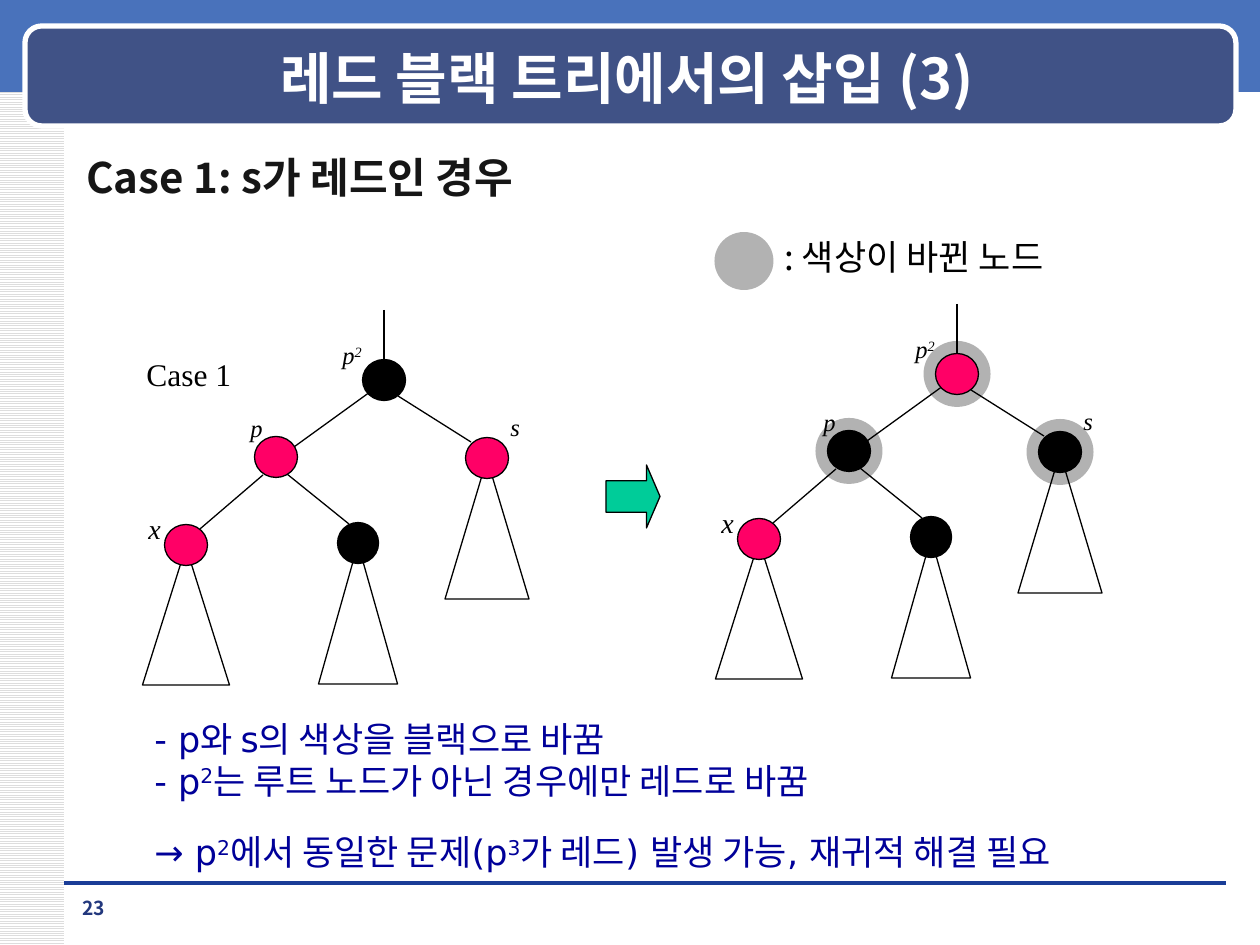
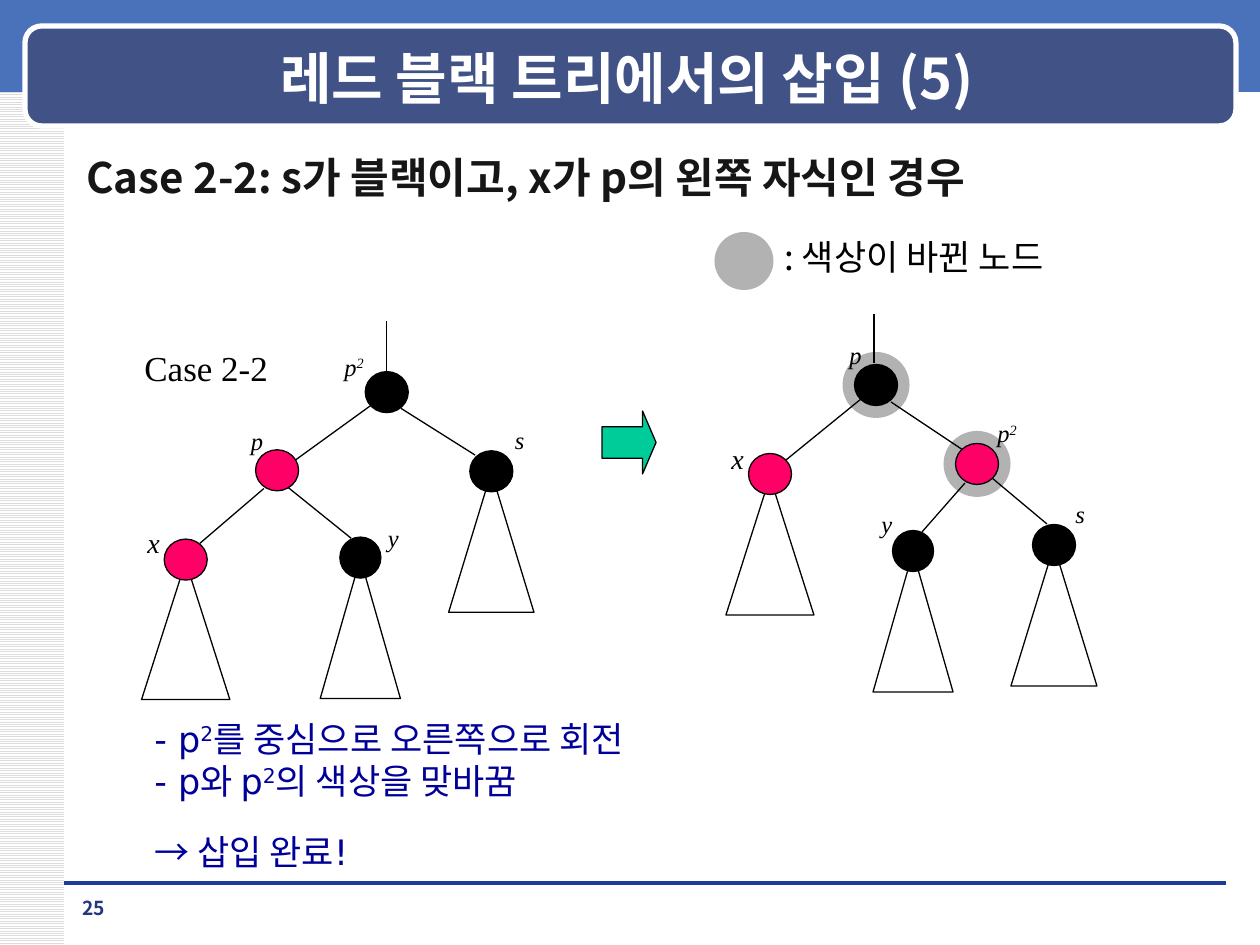
from dataclasses import dataclass

from lxml.etree import SubElement
from pptx import Presentation
from pptx.dml.color import RGBColor
from pptx.enum.dml import MSO_PATTERN
from pptx.enum.shapes import MSO_CONNECTOR, MSO_SHAPE
from pptx.enum.text import MSO_ANCHOR, PP_ALIGN
from pptx.oxml.ns import qn
from pptx.util import Emu, Pt

WHITE = RGBColor(0xFF, 0xFF, 0xFF)
BLACK = RGBColor(0x00, 0x00, 0x00)
RED = RGBColor(0xFF, 0x00, 0x66)
HALO = RGBColor(0xB2, 0xB2, 0xB2)
GREEN = RGBColor(0x00, 0xCC, 0x99)
STRIPE = RGBColor(0xDD, 0xDD, 0xDD)
BAND = RGBColor(0x49, 0x72, 0xBB)
TITLE_BAR = RGBColor(0x40, 0x52, 0x86)
RULE = RGBColor(0x1A, 0x3D, 0x97)
HEADING = RGBColor(0x16, 0x16, 0x16)
NOTE = RGBColor(0x00, 0x00, 0x99)
PAGE = RGBColor(0x23, 0x38, 0x7D)

KOREAN = "Noto Sans CJK KR"
SANS = "DejaVu Sans"
SERIF = "Times New Roman"


@dataclass
class Node:
    x: int
    y: int
    label_x: int
    label_y: int
    subtree: tuple = ()


@dataclass
class Layout:
    width: int
    nodes: dict
    edges: list


INSERTED = Layout(
    388,
    {
        "p^2": Node(242, 70, 188, 24),
        "p": Node(134, 147, 96, 97),
        "s": Node(345, 148, 356, 96, (84, 1, 140)),
        "x": Node(44, 235, -6, 195, (87, 2, 138)),
        "y": Node(216, 233, 231, 193, (79, 1, 140)),
    },
    [
        (242, 0, 242, 49),
        (228, 82, 152, 137),
        (256, 86, 329, 132),
        (121, 165, 58, 219),
        (145, 164, 207, 214),
    ],
)
ROTATED = Layout(
    370,
    {
        "p": Node(149, 71, 110, 20),
        "x": Node(43, 160, -8, 121, (88, 3, 138)),
        "p^2": Node(250, 150, 258, 98),
        "y": Node(186, 237, 142, 189, (80, 1, 140)),
        "s": Node(327, 231, 336, 179, (86, 1, 140)),
    },
    [
        (147, 0, 147, 49),
        (134, 85, 59, 146),
        (164, 88, 236, 136),
        (238, 169, 195, 218),
        (265, 164, 320, 210),
    ],
)


def px(n):
    return Emu(round(n * 914400 / 126))


def shape(s, kind, x, y, w, h, fill=None, line=None, weight=0.75):
    sp = s.shapes.add_shape(kind, px(x), px(y), px(w), px(h))
    sp.shadow.inherit = False
    if fill is None:
        sp.fill.background()
    else:
        sp.fill.solid()
        sp.fill.fore_color.rgb = fill
    if line is None:
        sp.line.fill.background()
    else:
        sp.line.color.rgb = line
        sp.line.width = Pt(weight)
    return sp


def oval(s, cx, cy, w, h, fill, line=None):
    return shape(s, MSO_SHAPE.OVAL, cx - w / 2, cy - h / 2, w, h, fill, line)


def line(s, x1, y1, x2, y2, color=BLACK, weight=0.75):
    c = s.shapes.add_connector(MSO_CONNECTOR.STRAIGHT, px(x1), px(y1), px(x2), px(y2))
    c.line.color.rgb = color
    c.line.width = Pt(weight)
    SubElement(c._element.spPr, qn("a:effectLst"))


def write(p, text):
    first, *rest = text.split("^")
    p.add_run().text = first
    for part in rest:
        r = p.add_run()
        r.text = part[0]
        r._r.get_or_add_rPr().set("baseline", "30000")
        if part[1:]:
            p.add_run().text = part[1:]


def text(s, x, y, w, h, lines, size, font, color, bold=False, italic=False,
         align=PP_ALIGN.LEFT, anchor=MSO_ANCHOR.TOP, wrap=True):
    tf = s.shapes.add_textbox(px(x), px(y), px(w), px(h)).text_frame
    tf.word_wrap = wrap
    tf.vertical_anchor = anchor
    for i, content in enumerate(lines):
        p = tf.add_paragraph() if i else tf.paragraphs[0]
        write(p, content)
        p.alignment = align
        f = p.font
        f.size, f.bold, f.italic = Pt(size), bold, italic
        f.color.rgb = color
        f.name = font
        SubElement(f._element, qn("a:ea")).set("typeface", KOREAN)
    return tf


def frame(s, title, page):
    side = shape(s, MSO_SHAPE.RECTANGLE, 0, 0, 64, 945)
    side.fill.patterned()
    side.fill.pattern = MSO_PATTERN.LIGHT_HORIZONTAL
    side.fill.fore_color.rgb = STRIPE
    side.fill.back_color.rgb = WHITE
    shape(s, MSO_SHAPE.RECTANGLE, 0, 0, 1260, 92, BAND)
    line(s, 64, 883, 1226, 883, RULE, 0)
    shape(s, MSO_SHAPE.ROUNDED_RECTANGLE, 25, 26, 1211, 100, TITLE_BAR, WHITE, 3)
    text(s, 89, 38, 1076, 78, [title], 32, KOREAN, WHITE, bold=True,
         align=PP_ALIGN.CENTER, anchor=MSO_ANCHOR.MIDDLE)
    text(s, 64, 890, 59, 34, [page], 11, KOREAN, PAGE, bold=True, align=PP_ALIGN.CENTER)


def legend(s, x, y):
    oval(s, x + 30, y + 29, 59, 58, HALO)
    text(s, x + 58, y - 3, 318, 55, [": 색상이 바뀐 노드"], 20, KOREAN, BLACK, wrap=False)


def tree(s, x, y, w, layout, reds, changed="", unlabeled=""):
    k = w / layout.width
    nodes = [(name, n, x + k * n.x, y + k * n.y) for name, n in layout.nodes.items()]
    for name, n, cx, cy in nodes:
        if name in changed:
            oval(s, cx, cy, 67, 66, HALO)
    for name, n, cx, cy in nodes:
        if n.subtree:
            base, drop, height = n.subtree
            shape(s, MSO_SHAPE.ISOSCELES_TRIANGLE, cx - k * base / 2, cy + drop,
                  k * base, height, line=BLACK)
    for x1, y1, x2, y2 in layout.edges:
        line(s, x + k * x1, y + k * y1, x + k * x2, y + k * y2)
    for name, n, cx, cy in nodes:
        oval(s, cx, cy, 41 if name == "y" else 43, 41, RED if name in reds else BLACK, BLACK)
        if name not in unlabeled:
            text(s, x + k * n.label_x, y + k * n.label_y, 45 if "^" in name else 37, 42,
                 [name], 16 if name == "x" else 14, SERIF, BLACK, italic=True, wrap=False)


def arrow(s, x, y):
    sp = shape(s, MSO_SHAPE.RIGHT_ARROW, x, y, 54, 63, GREEN, BLACK)
    sp.adjustments[1] = 0.25


def notes(s, x, y, lines):
    tf = text(s, x, y, 1033, 174, lines, 20, SANS, NOTE)
    tf.paragraphs[-1].space_before = Pt(17)


def case_slide(prs, number, page, heading, case, case_box, case_size, arrow_at, trees, lines):
    s = prs.slides.add_slide(prs.slide_layouts[6])
    frame(s, f"레드 블랙 트리에서의 삽입 ({number})", page)
    text(s, 74, 145, 1121, 70, [heading], 24, KOREAN, HEADING, bold=True)
    legend(s, 714, 232)
    for args in trees:
        tree(s, *args)
    arrow(s, *arrow_at)
    text(s, *case_box, [case], case_size, SERIF, BLACK, wrap=False)
    notes(s, 142, 711, lines)


def main():
    prs = Presentation()
    prs.slide_width, prs.slide_height = px(1260), px(945)
    case_slide(
        prs, 3, "23", "Case 1: s가 레드인 경우", "Case 1", (134, 349, 111, 50), 18, (606, 465),
        [
            (142, 310, 388, INSERTED, ["p", "s", "x"], [], ["y"]),
            (715, 304, 388, INSERTED, ["p^2", "x"], ["p^2", "p", "s"], ["y"]),
        ],
        [
            "- p와 s의 색상을 블랙으로 바꿈",
            "- p^2는 루트 노드가 아닌 경우에만 레드로 바꿈",
            "→ p^2에서 동일한 문제(p^3가 레드) 발생 가능, 재귀적 해결 필요",
        ],
    )
    case_slide(
        prs, 5, "25", "Case 2-2: s가 블랙이고, x가 p의 왼쪽 자식인 경우", "Case 2-2",
        (132, 340, 149, 54), 20, (602, 411),
        [
            (141, 321, 394, INSERTED, ["p", "x"]),
            (727, 314, 370, ROTATED, ["p^2", "x"], ["p", "p^2"]),
        ],
        [
            "- p^2를 중심으로 오른쪽으로 회전",
            "- p와 p^2의 색상을 맞바꿈",
            "→ 삽입 완료!",
        ],
    )
    prs.save("out.pptx")


if __name__ == "__main__":
    main()
